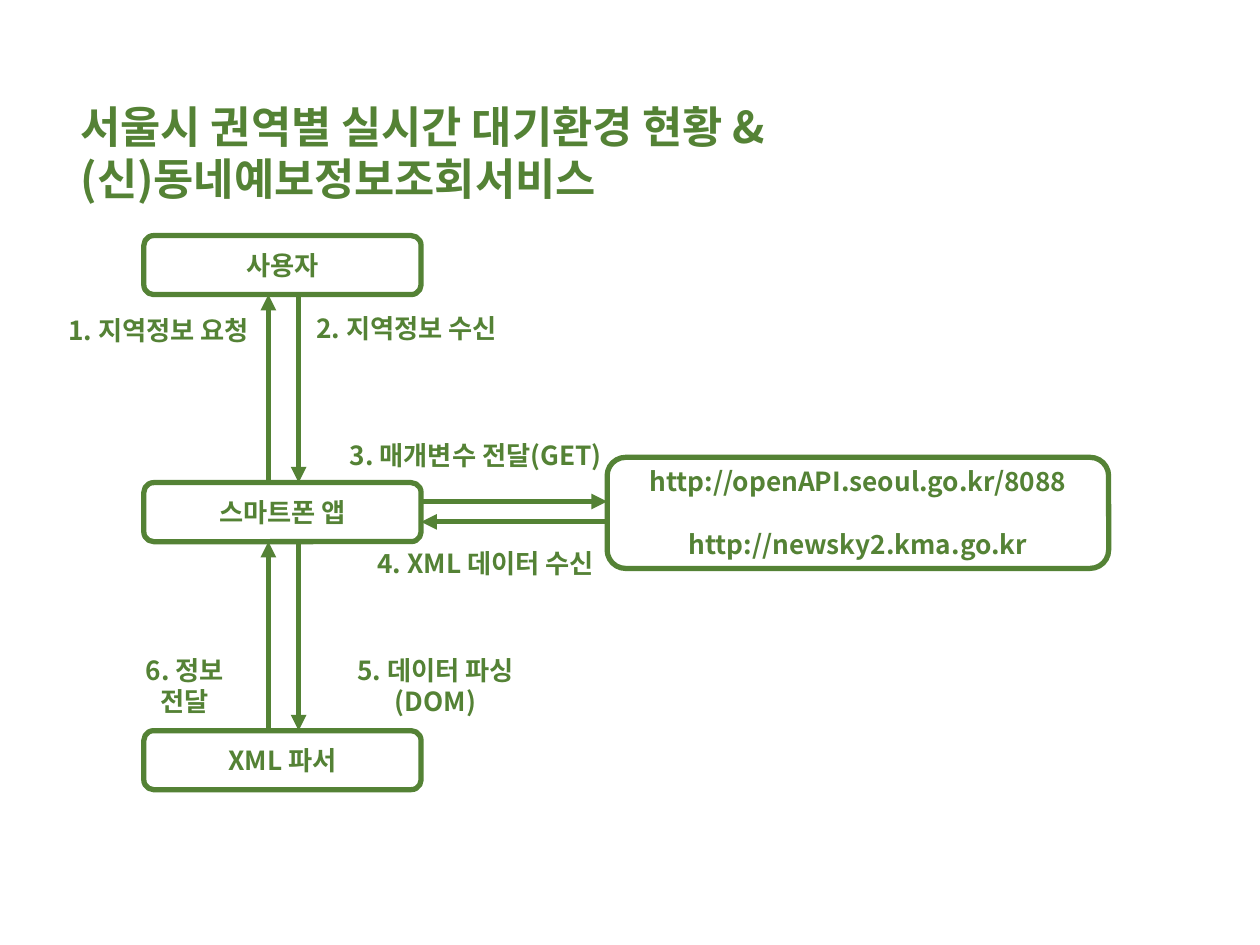
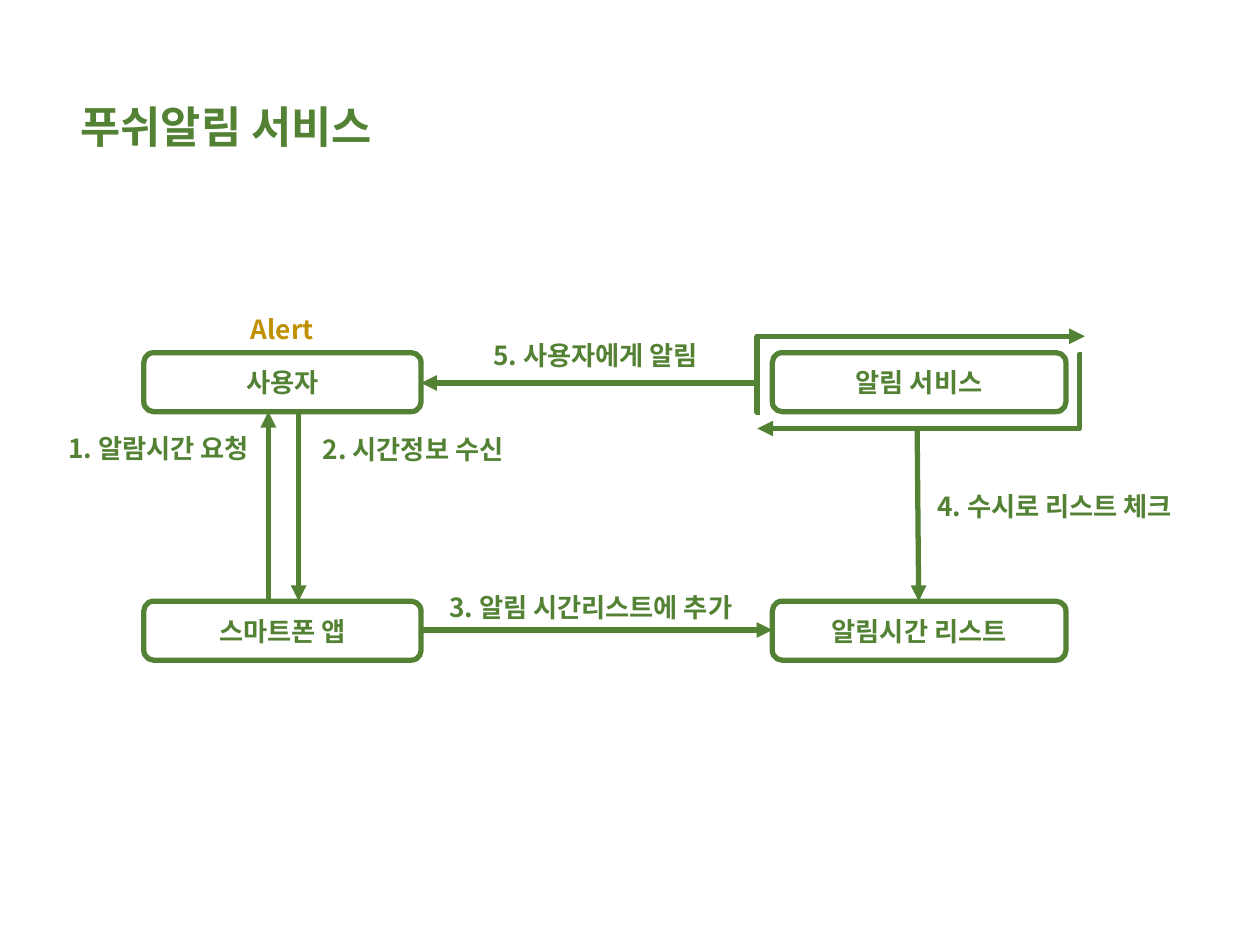
from pptx import Presentation
from pptx.dml.color import RGBColor
from pptx.enum.shapes import MSO_CONNECTOR as Connector, MSO_SHAPE as Shape
from pptx.enum.text import MSO_ANCHOR as Anchor, MSO_AUTO_SIZE as AutoSize, PP_ALIGN as Align
from pptx.oxml.ns import qn
from pptx.util import Cm, Pt
from lxml.etree import SubElement

GREEN = RGBColor(0x54, 0x82, 0x35)
GOLD = RGBColor(0xBF, 0x90, 0x00)
FONT = "Noto Sans CJK KR"
TITLE_SIZE, TEXT_SIZE = 25, 15
LINE_WIDTH = Pt(3)

# Lengths in centimetres
BOX_LEFT, BOX_WIDTH, BOX_HEIGHT = 2.9, 5.59, 1.19
BOX_RIGHT = BOX_LEFT + BOX_WIDTH
REQUEST_X, REPLY_X = 5.41, 6.02
LABEL_HEIGHT = 0.89


def write(frame, lines, size=TEXT_SIZE, color=GREEN, align=Align.CENTER, gap=0):
    """Fill the frame with one paragraph per line, gap points apart."""
    for index, line in enumerate(lines):
        para = frame.paragraphs[0] if index == 0 else frame.add_paragraph()
        para.alignment = align
        para.space_before = Pt(gap if index else 0)
        span = para.add_run()
        span.text = line
        for name, value in {"size": Pt(size), "bold": True, "name": FONT}.items():
            setattr(span.font, name, value)
        span.font.color.rgb = color
        SubElement(span.font._element, qn("a:ea"), typeface=FONT)


def set_frame(frame, **values):
    for name, value in values.items():
        setattr(frame, name, value)


def add_page(deck, *title_lines):
    page = deck.slides.add_slide(deck.slide_layouts.get_by_name("Title Only"))
    title = page.shapes.title
    title.left, title.top = Cm(1.37), Cm(1.88)
    title.width, title.height = Cm(18), Cm(0.25 + 1.07 * len(title_lines))
    set_frame(title.text_frame, vertical_anchor=Anchor.TOP, word_wrap=True,
              auto_size=AutoSize.NONE)
    write(title.text_frame, title_lines, TITLE_SIZE, align=Align.LEFT)
    return page


def add_box(page, lines, top, left=BOX_LEFT, width=BOX_WIDTH, height=BOX_HEIGHT, gap=0):
    box = page.shapes.add_shape(Shape.ROUNDED_RECTANGLE,
                                Cm(left), Cm(top), Cm(width), Cm(height))
    box.shadow.inherit = False
    box.fill.background()
    box.line.color.rgb = GREEN
    box.line.width = LINE_WIDTH
    set_frame(box.text_frame, vertical_anchor=Anchor.MIDDLE, word_wrap=True,
              margin_left=Cm(0.18), margin_right=Cm(0.18),
              margin_top=Cm(0.1), margin_bottom=Cm(0.1))
    write(box.text_frame, lines, gap=gap)


def add_label(page, text, center, top, width, color=GREEN, wrap=False):
    box = page.shapes.add_textbox(Cm(center - width / 2), Cm(top),
                                  Cm(width), Cm(LABEL_HEIGHT))
    box.text_frame.word_wrap = wrap
    write(box.text_frame, [text], color=color)


def add_arrow(page, start, end, bend=None):
    """Arrow from start to end; bend is the elbow's place in 1/100000 of its width."""
    kind = Connector.STRAIGHT if bend is None else Connector.ELBOW
    arrow = page.shapes.add_connector(kind, *map(Cm, start + end))
    arrow.line.color.rgb = GREEN
    arrow.line.width = LINE_WIDTH
    properties = arrow._element.spPr
    SubElement(properties.find(qn("a:ln")), qn("a:tailEnd"), type="triangle")
    SubElement(properties, qn("a:effectLst"))
    if bend is not None:
        geometry = properties.find(qn("a:prstGeom"))
        guides = geometry.find(qn("a:avLst"))
        if guides is None:
            guides = SubElement(geometry, qn("a:avLst"))
        SubElement(guides, qn("a:gd"), name="adj1", fmla=f"val {bend}")


def add_exchange(page, upper_top, lower_top):
    """Pair of opposite arrows between two stacked boxes."""
    upper_bottom = upper_top + BOX_HEIGHT
    add_arrow(page, (REQUEST_X, lower_top), (REQUEST_X, upper_bottom))
    add_arrow(page, (REPLY_X, upper_bottom), (REPLY_X, lower_top))


def add_data_page(deck):
    page = add_page(deck, "서울시 권역별 실시간 대기환경 현황 &", "(신)동네예보정보조회서비스")
    user_top, app_top, parser_top = 4.75, 9.73, 14.73
    server_left = 12.24
    add_exchange(page, user_top, app_top)
    add_exchange(page, app_top, parser_top)
    add_arrow(page, (BOX_RIGHT, 10.11), (server_left, 10.11))
    add_arrow(page, (server_left, 10.52), (BOX_RIGHT, 10.52))
    add_box(page, ["사용자"], user_top)
    add_box(page, ["스마트폰 앱"], app_top)
    add_box(page, ["XML 파서"], parser_top)
    add_box(page, ["http://openAPI.seoul.go.kr/8088", "http://newsky2.kma.go.kr"],
            9.22, server_left, 10.11, 2.24, gap=18)
    for text, center, top, width in [
        ("1. 지역정보 요청", 3.2, 6.22, 4.42),
        ("2. 지역정보 수신", 8.2, 6.17, 4.32),
        ("3. 매개변수 전달(GET)", 9.59, 8.74, 5.87),
        ("4. XML 데이터 수신", 9.79, 10.9, 5.11),
    ]:
        add_label(page, text, center, top, width)
    add_label(page, "5. 데이터 파싱(DOM)", 8.78, 13.06, 5, wrap=True)
    add_label(page, "6. 정보 전달", 3.73, 13.06, 2.8, wrap=True)


def add_alert_page(deck):
    page = add_page(deck, "푸쉬알림 서비스")
    upper_top, lower_top = 7.11, 12.12
    service_left, service_width = 15.57, 5.92
    add_exchange(page, upper_top, lower_top)
    add_arrow(page, (BOX_RIGHT, 12.7), (service_left, 12.7))
    add_arrow(page, (15.29, 7.72), (BOX_RIGHT, 7.72))
    add_arrow(page, (18.49, 8.66), (18.52, lower_top))
    # Loop around the service box
    add_arrow(page, (15.32, 8.31), (21.87, 6.78), bend=-900)
    add_arrow(page, (21.82, 7.14), (15.27, 8.64), bend=900)
    add_box(page, ["사용자"], upper_top)
    add_box(page, ["스마트폰 앱"], lower_top)
    add_box(page, ["알림 서비스"], upper_top, service_left, service_width)
    add_box(page, ["알림시간 리스트"], lower_top, service_left, service_width)
    for text, center, top, width in [
        ("1. 알람시간 요청", 3.2, 8.59, 4.42),
        ("2. 시간정보 수신", 8.33, 8.61, 4.32),
        ("3. 알림 시간리스트에 추가", 11.91, 11.79, 6.91),
        ("4. 수시로 리스트 체크", 21.26, 9.75, 6.91),
        ("5. 사용자에게 알림", 12.01, 6.71, 6.91),
    ]:
        add_label(page, text, center, top, width)
    add_label(page, "Alert", 5.69, 6.2, 6.91, color=GOLD)


def main():
    deck = Presentation()
    deck.slide_width, deck.slide_height = Cm(25.4), Cm(19.05)
    add_data_page(deck)
    add_alert_page(deck)
    deck.save("out.pptx")


if __name__ == "__main__":
    main()
